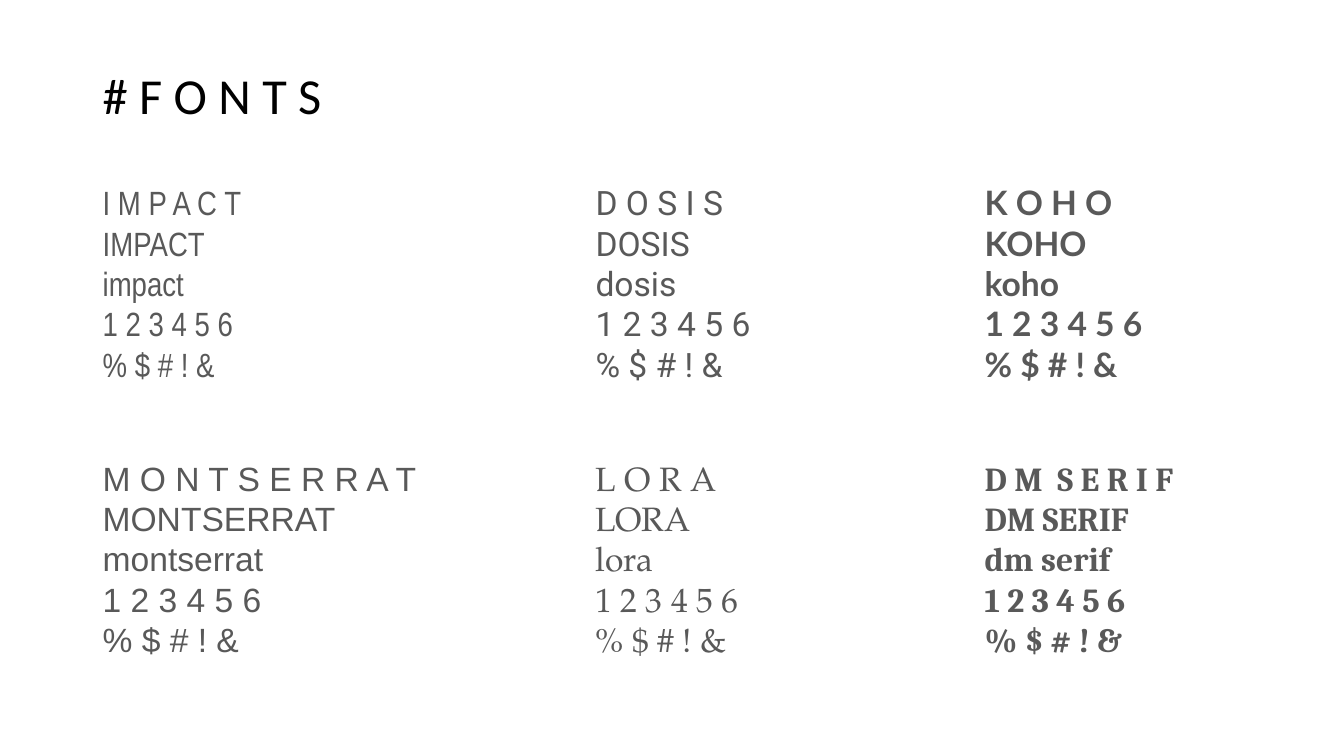
from pptx import Presentation
from pptx.dml.color import RGBColor
from pptx.enum.shapes import MSO_SHAPE
from pptx.enum.text import MSO_ANCHOR, PP_ALIGN
from pptx.util import Pt

BLACK = RGBColor(0x00, 0x00, 0x00)
GRAY = RGBColor(0x59, 0x59, 0x59)
WHITE = RGBColor(0xFF, 0xFF, 0xFF)

COLUMNS = (66.24, 418.32, 696.24)
ROWS = (126.72, 323.28)
SAMPLE_HEIGHT = 155.52
LINE_HEIGHT = 28.8

# Spaced name, typeface, bold, box width; one tuple per grid row
SAMPLES = (
    (("I M P A C T", "Arial Narrow", False, 181.44),
     ("D O S I S", "Roboto", False, 145.44),
     ("K O H O", "Lato", True, 153.36)),
    (("M O N T S E R R A T", "Arial", False, 240.48),
     ("L O R A", "TeX Gyre Pagella", False, 153.36),
     ("D M  S E R I F", "Cambria", True, 153.36)),
)


def style(para, typeface, size, color, bold=False):
    para.alignment = PP_ALIGN.LEFT
    for span in para.runs:
        span.font.name = typeface
        span.font.size = Pt(size)
        span.font.bold = bold
        span.font.color.rgb = color


def add_title(page, left, top, width, height):
    box = page.shapes.add_textbox(Pt(left), Pt(top), Pt(width), Pt(height))
    frame = box.text_frame
    frame.word_wrap = True
    frame.vertical_anchor = MSO_ANCHOR.MIDDLE
    frame.margin_top = 0
    frame.margin_bottom = Pt(40)
    frame.text = "# F O N T S"
    para = frame.paragraphs[0]
    para.line_spacing = 0.9
    style(para, "Calibri", 36, BLACK)


def add_sample(page, left, top, width, height, spaced_name, typeface, bold):
    """Show a font's name, digits and symbols in its typeface."""
    box = page.shapes.add_shape(
        MSO_SHAPE.RECTANGLE, Pt(left), Pt(top), Pt(width), Pt(height))
    box.shadow.inherit = False
    box.fill.solid()
    box.fill.fore_color.rgb = WHITE
    box.line.fill.background()
    frame = box.text_frame
    frame.word_wrap = True
    frame.vertical_anchor = MSO_ANCHOR.TOP
    words = spaced_name.split("  ")
    name = " ".join(word.replace(" ", "") for word in words)
    frame.text = "\n".join(
        (spaced_name, name, name.lower(), "1 2 3 4 5 6", "% $ # ! &"))
    for para in frame.paragraphs:
        para.line_spacing = Pt(LINE_HEIGHT)
        style(para, typeface, 24, GRAY, bold)


def main():
    deck = Presentation()
    deck.slide_width, deck.slide_height = Pt(960), Pt(540)
    page = deck.slides.add_slide(deck.slide_layouts[6])
    add_title(page, COLUMNS[0], 54, 262.08, 72)
    for top, samples in zip(ROWS, SAMPLES):
        for left, (spaced_name, typeface, bold, width) in zip(COLUMNS, samples):
            add_sample(page, left, top, width, SAMPLE_HEIGHT,
                       spaced_name, typeface, bold)
    deck.save("out.pptx")


if __name__ == "__main__":
    main()
